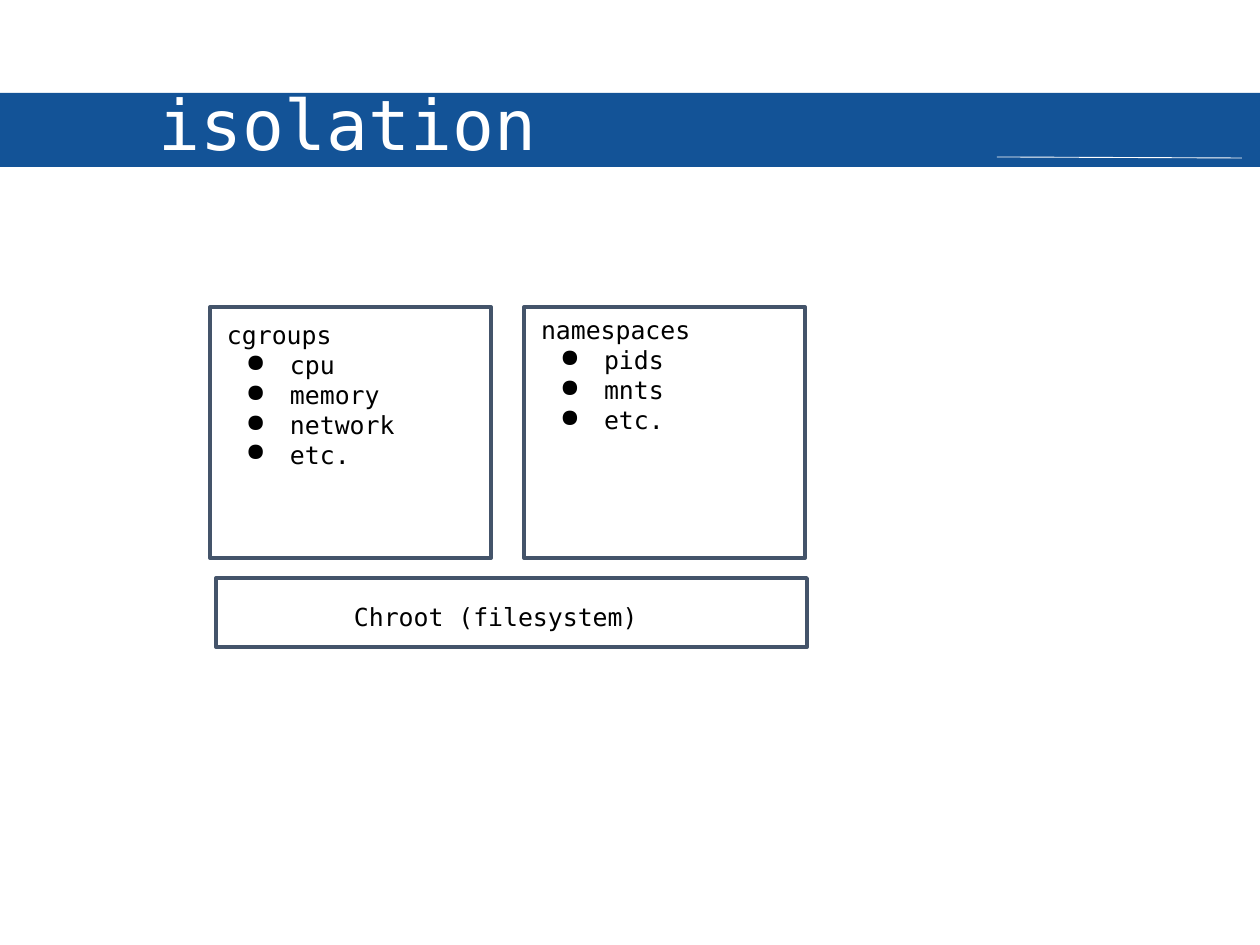
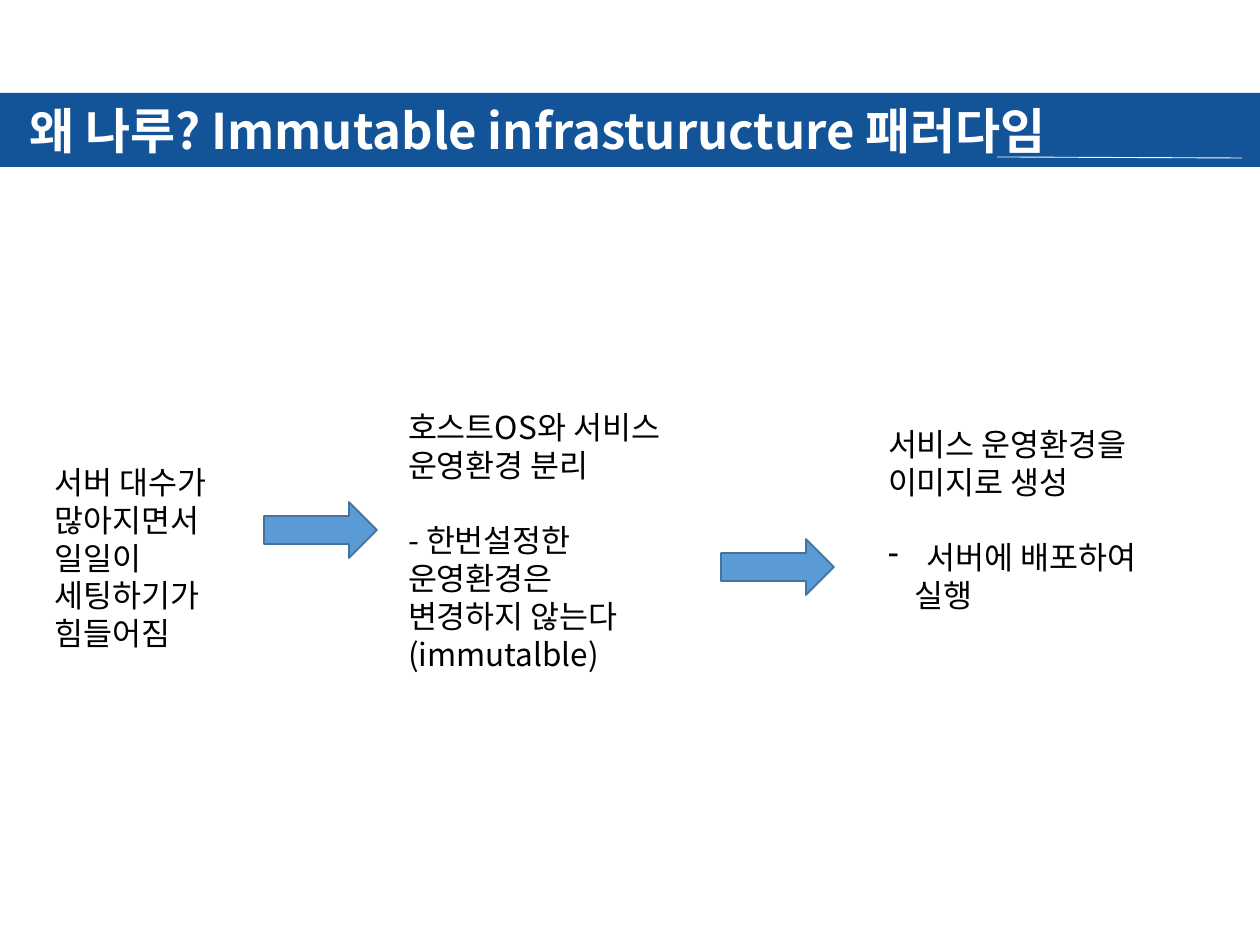
from lxml.etree import SubElement
from pptx import Presentation
from pptx.dml.color import RGBColor
from pptx.enum.shapes import MSO_CONNECTOR as LINE, MSO_SHAPE as SHAPE
from pptx.enum.text import MSO_ANCHOR as ANCHOR, MSO_AUTO_SIZE as FIT, PP_ALIGN as ALIGN
from pptx.oxml.ns import qn
from pptx.util import Pt

SCALE = 914400 / 126
MONO, SANS = "DejaVu Sans Mono", "Noto Sans CJK KR"
WHITE, BLACK, BLUE, SLATE = "FFFFFF", "000000", "135397", "44546A"
SKY, STEEL = "5B9BD5", "43739E"
PITCH = Pt(21.6)


def px(*nums):
    return [round(num * SCALE) for num in nums]


def paint(part, color):
    part.solid()
    part.fore_color.rgb = RGBColor.from_string(color)


def style(para, face, size, color=BLACK, bold=False):
    font = para.font
    font.name, font.size, font.bold = face, Pt(size), bold
    paint(font.fill, color)
    props = para._p.get_or_add_pPr()
    SubElement(props.find(qn("a:defRPr")), qn("a:ea"), typeface=face)


def indent(para, left, mark=None, hang=0):
    props = para._p.get_or_add_pPr()
    margin, back = px(left, -hang)
    props.set("marL", str(margin))
    props.set("indent", str(back))
    if mark:
        SubElement(props, qn("a:buChar"), char=mark)


def inset(frame, side, top):
    frame.margin_left = frame.margin_right = px(side)[0]
    frame.margin_top = frame.margin_bottom = px(top)[0]


def block(slide, kind, box, fill, edge=None, width=1):
    shape = slide.shapes.add_shape(kind, *px(*box))
    shape.shadow.inherit = False
    paint(shape.fill, fill)
    if edge:
        paint(shape.line.fill, edge)
        shape.line.width = Pt(width)
    else:
        shape.line.fill.background()
    return shape


def note(slide, box, lines, pad):
    frame = slide.shapes.add_textbox(*px(*box)).text_frame
    frame.word_wrap = True
    inset(frame, *pad)
    frame.text = "\n".join(lines)
    return frame.paragraphs


def banner(slide, layout):
    band = block(slide, SHAPE.RECTANGLE, (0, 93, 1260, 74), BLUE)
    rule = slide.shapes.add_connector(LINE.STRAIGHT, *px(997, 157, 1242, 158))
    paint(rule.line.fill, WHITE)
    rule.line.width = Pt(0.5)
    SubElement(rule.element.spPr, qn("a:effectLst"))
    for part in (band, rule):
        layout.shapes.element.append(part.element)


def heading(slide, box, text, face, size, bold=False):
    title = slide.shapes.title
    title.left, title.top, title.width, title.height = px(*box)
    frame = title.text_frame
    frame.text = text
    frame.auto_size = FIT.NONE
    para = frame.paragraphs[0]
    para.alignment = ALIGN.LEFT
    style(para, face, size, WHITE, bold)
    return frame


def panel(slide, box, drop, head, items):
    left, top, width, _ = box
    block(slide, SHAPE.FLOWCHART_PROCESS, box, WHITE, SLATE, 2.25)
    paras = note(slide, (left + 4, top + drop, width - 9, 52), [head, *items], (13, 13))
    for para in paras:
        if para is not paras[0]:
            indent(para, 63, "●", 44)
        style(para, MONO, 14.2)


def base(slide, box, text):
    left, top, _, _ = box
    block(slide, SHAPE.FLOWCHART_PROCESS, box, WHITE, SLATE, 2.25)
    para, = note(slide, (left + 125, top + 11, 340, 32), [text], (13, 13))
    style(para, MONO, 14.2)


def step(slide, box, lines):
    paras = note(slide, box, lines, (13, 6))
    for spot, para in enumerate(paras):
        para.line_spacing = PITCH
        if spot == 1:
            para.space_before = PITCH
    return paras


def isolate(slide):
    frame = heading(slide, (146, 68, 447, 95), "isolation", MONO, 39.8)
    frame.vertical_anchor = ANCHOR.TOP
    inset(frame, 13, 13)
    lists = [
        ("cgroups", 0, ["cpu", "memory", "network", "etc."]),
        ("namespaces", -5, ["pids", "mnts", "etc."]),
    ]
    for col, (head, drop, items) in enumerate(lists):
        panel(slide, (210 + 314 * col, 307, 281, 251), drop, head, items)
    base(slide, (216, 578, 591, 69), "Chroot (filesystem)")


def reason(slide):
    frame = heading(slide, (16, 102, 1116, 64),
                    "왜 나루? Immutable infrasturucture 패러다임", SANS, 28, True)
    frame.vertical_anchor = ANCHOR.MIDDLE
    inset(frame, 13, 6)
    frame.paragraphs[0].line_spacing = 0.9

    many = step(slide, (42, 457, 255, 204), ["서버 대수가 많아지면서 일일이 세팅하기가 힘들어짐"])
    split = step(slide, (395, 402, 284, 318), [
        "호스트OS와 서비스 운영환경 분리",
        "- 한번설정한 운영환경은 변경하지 않는다 (immutalble)",
    ])
    build = step(slide, (875, 419, 284, 280), [
        "서비스 운영환경을 이미지로 생성", "서버에 배포하여", "실행",
    ])
    indent(build[1], 39, "-", 39)
    indent(build[2], 27)
    for para in (*many, *split, *build):
        style(para, SANS, 18)

    for left, top in ((264, 502), (721, 539)):
        block(slide, SHAPE.RIGHT_ARROW, (left, top, 113, 56), SKY, STEEL)


def main():
    deck = Presentation()
    deck.slide_width, deck.slide_height = px(1260, 945)
    layout = deck.slide_layouts.get_by_name("Title Only")
    slides = [deck.slides.add_slide(layout) for _ in range(2)]
    banner(slides[0], layout)
    for slide, fill in zip(slides, (isolate, reason)):
        fill(slide)
    deck.save("out.pptx")


if __name__ == "__main__":
    main()
